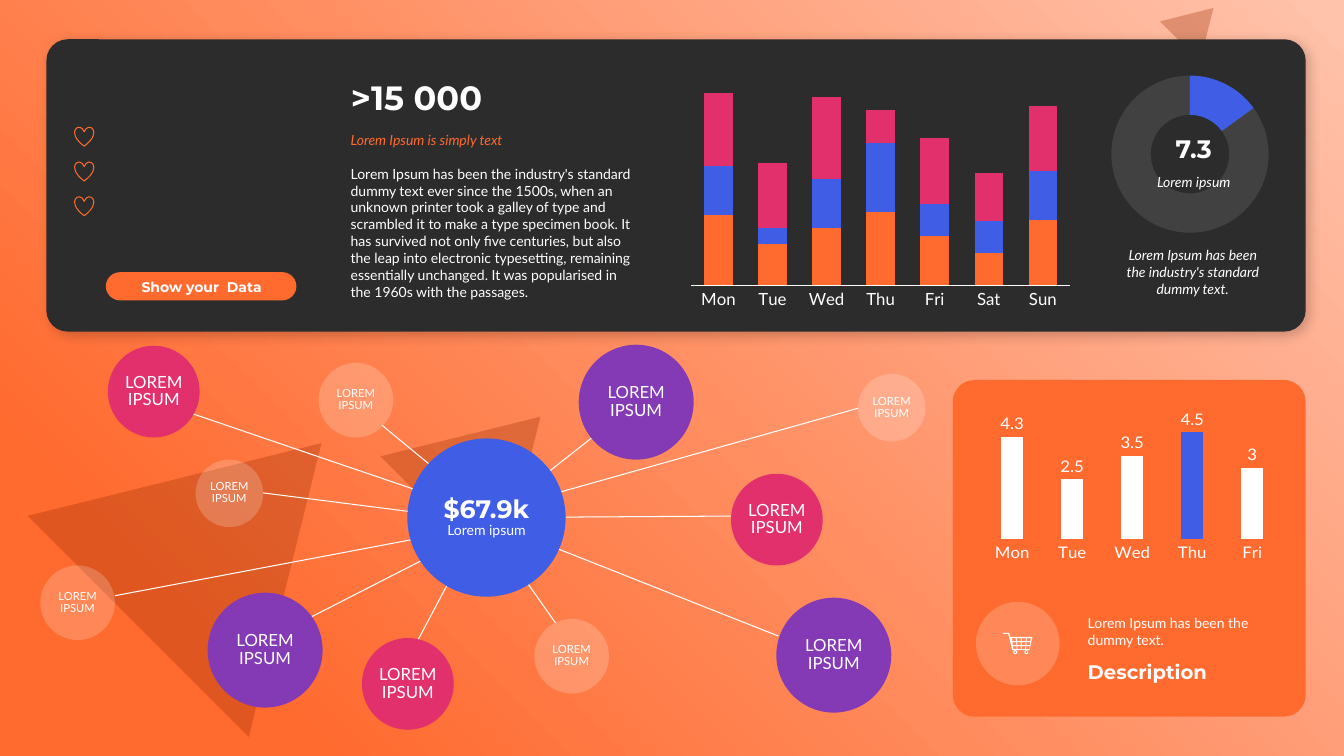
from dataclasses import dataclass

from lxml.etree import SubElement
from pptx import Presentation
from pptx.chart.data import CategoryChartData
from pptx.dml.color import RGBColor
from pptx.enum.chart import XL_CHART_TYPE as Chart, XL_LABEL_POSITION as LabelPos, XL_TICK_MARK as Tick
from pptx.enum.shapes import MSO_CONNECTOR as Conn, MSO_SHAPE as Shape
from pptx.enum.text import MSO_ANCHOR as Anchor, MSO_AUTO_SIZE as AutoSize, PP_ALIGN as Align
from pptx.oxml.ns import qn
from pptx.util import Inches, Pt


@dataclass(frozen=True)
class Theme:
    dark: str = "2C2C2C"
    orange: str = "FF6A2F"
    peach: str = "FFC3AC"
    rust: str = "972B00"
    blue: str = "405DE6"
    pink: str = "E1306C"
    purple: str = "833AB4"
    white: str = "FFFFFF"
    body_font: str = "Lato"
    head_font: str = "Montserrat"
    tiny: int = 8
    body: int = 10
    label: int = 12
    subhead: int = 14
    figure: int = 18
    title: int = 24


T = Theme()
ROWS = 75  # square grid cells, 75 rows over the slide height
CELL = Inches(7.5) / ROWS

# Bubble kinds: diameter, colour, alpha, text size
KINDS = {
    "large": (11.4, T.purple, None, T.label),
    "medium": (9.1, T.pink, None, T.label),
    "small": (7.4, T.white, 20, T.tiny),
    "mini": (6.7, T.white, 20, T.tiny),
}
# Bubbles: kind, left, top, line start and line end at the hub
BUBBLES = [
    ("large", 57.4, 34.2, (53.4, 47.6), (59, 43.2)),
    ("small", 31.6, 36, (37.9, 42.2), (43.6, 46.9)),
    ("medium", 10.7, 34.3, (17.5, 40.5), (42.7, 49.1)),
    ("mini", 19.4, 45.6, (26.1, 48.9), (41.8, 50.9)),
    ("small", 4, 56.1, (11.4, 59.1), (42.1, 53.3)),
    ("medium", 35.9, 63.3, (45, 56.8), (41.4, 63.6)),
    ("large", 20.6, 58.8, (30.1, 61.6), (43, 55)),
    ("large", 77, 59.3, (54.2, 54), (77.2, 63.1)),
    ("mini", 85.1, 37.1, (54.2, 49.2), (85.1, 40.5)),
    ("medium", 72.5, 47, (56.1, 51.3), (72.6, 51.2)),
    ("small", 53, 61.4, (51.5, 56.7), (55.1, 61.8)),
]


def grid(*cells):
    return [round(c * CELL) for c in cells]


def paint(fill, color, alpha=None):
    fill.solid()
    fill.fore_color.rgb = RGBColor.from_string(color)
    if alpha is not None:
        clr = next(fill.fore_color._xFill.iter(qn("a:srgbClr")))
        SubElement(clr, qn("a:alpha"), val=str(alpha * 1000))


def add_run(p, text, size, color=T.white, head=False, italic=False):
    r = p.add_run()
    r.text = text
    f = r.font
    f.size, f.bold, f.italic = Pt(size), head, italic
    f.name = T.head_font if head else T.body_font
    f.color.rgb = RGBColor.from_string(color)


def add_form(s, kind, box, color, alpha=None, adj=None, rotation=0):
    sp = s.shapes.add_shape(kind, *grid(*box))
    sp.shadow.inherit = False
    sp.line.fill.background()
    sp.rotation = rotation
    paint(sp.fill, color, alpha)
    if adj is not None:
        sp.adjustments[0] = adj
    return sp


def set_text(sp, text, size, align=Align.LEFT, anchor=Anchor.TOP, after=0, **style):
    tf = sp.text_frame
    tf.word_wrap, tf.auto_size, tf.vertical_anchor = True, AutoSize.SHAPE_TO_FIT_TEXT, anchor
    p = tf.paragraphs[0]
    p.alignment, p.space_after = align, Pt(after)
    add_run(p, text, size, **style)


def add_text(s, box, *args, **kwargs):
    set_text(s.shapes.add_textbox(*grid(*box)), *args, **kwargs)


def add_bubble(s, box, color, alpha, runs):
    sp = add_form(s, Shape.OVAL, box, color, alpha)
    tf = sp.text_frame
    tf.word_wrap, tf.vertical_anchor = True, Anchor.MIDDLE
    tf.margin_left = tf.margin_right = 0
    for i, (text, size, head) in enumerate(runs):
        p = tf.add_paragraph() if i else tf.paragraphs[0]
        p.alignment, p.line_spacing = Align.CENTER, 0.89
        add_run(p, text, size, head=head)


def add_link(s, start, end):
    line = s.shapes.add_connector(Conn.STRAIGHT, *grid(*start, *end))
    line.line.width = Pt(0.75)
    line.line.color.rgb = RGBColor.from_string(T.white)
    SubElement(line.element.spPr, qn("a:effectLst"))


def add_chart(s, kind, box, cats, rows, size):
    data = CategoryChartData()
    data.categories = cats
    for i, vals in enumerate(rows, 1):
        data.add_series(f"Series {i}", vals)
    chart = s.shapes.add_chart(kind, *grid(*box), data).chart
    chart.has_title = chart.has_legend = False
    chart.font.size, chart.font.name = Pt(size), T.body_font
    chart.font.color.rgb = RGBColor.from_string(T.white)
    return chart


def add_columns(s, kind, box, cats, rows, colors, gap, top):
    chart = add_chart(s, kind, box, cats, rows, T.label)
    plot = chart.plots[0]
    plot.gap_width, plot.vary_by_categories = gap, False
    for series, color in zip(plot.series, colors):
        paint(series.format.fill, color)
    chart.value_axis.visible = chart.value_axis.has_major_gridlines = False
    chart.value_axis.minimum_scale, chart.value_axis.maximum_scale = 0, top
    chart.category_axis.major_tick_mark = Tick.NONE
    return chart


def add_backdrop(s):
    fill = s.background.fill
    fill.gradient()
    for stop, color, pos in zip(fill.gradient_stops, (T.peach, T.orange), (0, 0.85)):
        stop.color.rgb, stop.position = RGBColor.from_string(color), pos
    grad = next(s.element.iter(qn("a:gradFill")))
    grad.remove(grad.find(qn("a:lin")))
    radial = SubElement(grad, qn("a:path"), {"path": "circle"})
    SubElement(radial, qn("a:fillToRect"), l="100000", b="100000")
    for box in ((7.3, 40.2, 31, 25.7), (40.2, 39.3, 16.9, 14), (115.9, 0.1, 5.6, 4.7)):
        add_form(s, Shape.ISOSCELES_TRIANGLE, box, T.rust, 30, rotation=45)


def add_summary(s):
    # Dark panel with a soft shadow
    panel = add_form(s, Shape.ROUNDED_RECTANGLE, (4.6, 3.9, 124.9, 29), T.dark, adj=0.073)
    effects = panel.element.spPr.find(qn("a:effectLst"))
    shadow = SubElement(effects, qn("a:outerShdw"), blurRad=str(Pt(8)), dist=str(Pt(3)),
                        dir="2700000", algn="tl", rotWithShape="0")
    SubElement(SubElement(shadow, qn("a:srgbClr"), val="000000"), qn("a:alpha"), val="20000")
    # Headline and copy
    title = s.shapes.title
    title.left, title.top, title.width, title.height = grid(33.8, 7.1, 30.2, 5)
    set_text(title, ">15 000", T.title, anchor=Anchor.BOTTOM, head=True)
    title.element.getparent().append(title.element)
    add_text(s, (33.8, 12.6, 30.2, 2.7), "Lorem Ipsum is simply text", T.body, after=12,
             color=T.orange, italic=True)
    add_text(s, (33.8, 15.9, 30.2, 14.5),
             "Lorem Ipsum has been the industry's standard dummy text ever since the 1500s, "
             "when an unknown printer took a galley of type and scrambled it to make a type "
             "specimen book. It has survived not only five centuries, but also the leap into "
             "electronic typesetting, remaining essentially unchanged. It was popularised in "
             "the 1960s with the passages.", T.body, after=12)
    # Hearts and button
    for i in range(3):
        heart = add_form(s, Shape.HEART, (7.4, 12.6 + 3.45 * i, 1.9, 1.9), T.orange)
        heart.fill.background()
        heart.line.color.rgb = RGBColor.from_string(T.orange)
        heart.line.width = Pt(0.75)
    add_form(s, Shape.ROUNDED_RECTANGLE, (10.5, 27, 18.9, 2.8), T.orange, adj=0.5)
    add_text(s, (11.3, 27.1, 17.4, 2.7), "Show your  Data", T.body, Align.CENTER,
             Anchor.MIDDLE, head=True)
    # Weekly stacked columns
    week = add_columns(s, Chart.COLUMN_STACKED, (67.8, 5.1, 39.1, 26.1),
                       ["Mon", "Tue", "Wed", "Thu", "Fri", "Sat", "Sun"],
                       [(86, 50, 70, 90, 60, 40, 80), (60, 20, 60, 84, 40, 38, 60),
                        (90, 80, 100, 40, 80, 60, 80)], (T.orange, T.blue, T.pink), 90, 280)
    week.plots[0].overlap = 100
    week.category_axis.format.line.color.rgb = RGBColor.from_string(T.white)
    # Doughnut with its figure
    ring = add_chart(s, Chart.DOUGHNUT, (109.6, 7.5, 17.2, 15.6), ["1", "2"], [(15, 85)], T.body)
    plot = ring.plots[0]
    for i, (color, alpha) in enumerate(((T.blue, None), (T.white, 10))):
        point = plot.series[0].points[i].format
        paint(point.fill, color, alpha)
        point.line.fill.background()
    next(ring.element.iter(qn("c:holeSize"))).set("val", "80")
    area = next(ring.element.iter(qn("c:plotArea")))
    layout = area.find(qn("c:layout"))
    if layout is None:
        layout = SubElement(area, qn("c:layout"))
        area.insert(0, layout)
    manual = SubElement(layout, qn("c:manualLayout"))
    for tag, val in (("layoutTarget", "inner"), ("xMode", "edge"), ("yMode", "edge"),
                     ("x", "0.03"), ("y", "0"), ("w", "0.92"), ("h", "1")):
        SubElement(manual, qn("c:" + tag), val=val)
    add_text(s, (112.9, 16.7, 11, 2.7), "Lorem ipsum", T.body, Align.CENTER, after=6, italic=True)
    add_text(s, (112.9, 12.7, 11, 4), "7.3", T.figure, Align.CENTER, Anchor.BOTTOM, 6, head=True)
    add_text(s, (110.3, 24, 16, 6.1), "Lorem Ipsum has been the industry's standard dummy text.",
             T.body, Align.CENTER, after=12, italic=True)


def add_network(s):
    for *_, start, end in BUBBLES:
        add_link(s, start, end)
    for kind, x, y, *_ in BUBBLES:
        d, color, alpha, size = KINDS[kind]
        add_bubble(s, (x, y, d, d), color, alpha, [("LOREM IPSUM", size, False)])
    add_bubble(s, (40.4, 43.5, 15.7, 15.7), T.blue, None,
               [("$67.9k", T.figure, True), ("Lorem ipsum", T.body, False)])


def add_cart(s, x, y):
    outline = [(0, 0), (0.6, 0), (0.7, 0.4), (2.9, 0.4), (2.6, 1.7), (0.9, 1.7), (0.5, 0.1), (0, 0.1)]
    fb = s.shapes.build_freeform(*grid(x, y))
    fb.add_line_segments([grid(x + dx, y + dy) for dx, dy in outline[1:]])
    # Basket openings: four columns by three rows, narrowing downwards
    for col in range(4):
        for row in range(3):
            top = 0.5 + 0.4 * row
            corners = [grid(x + 1.8 + (u - 2) * (0.53 - 0.07 * v), y + v) for u, v in (
                (col + 0.1, top), (col + 0.9, top), (col + 0.9, top + 0.3), (col + 0.1, top + 0.3))]
            fb.move_to(*corners[0])
            fb.add_line_segments(corners[1:])
    cart = fb.convert_to_shape()
    cart.shadow.inherit = False
    cart.line.fill.background()
    paint(cart.fill, T.white)
    for dx in (1, 2.1):
        add_form(s, Shape.DONUT, (x + dx, y + 1.7, 0.4, 0.4), T.white, adj=0.25)


def add_card(s):
    add_form(s, Shape.ROUNDED_RECTANGLE, (94.5, 37.7, 35, 33.4), T.orange, adj=0.065)
    add_form(s, Shape.OVAL, (96.8, 59.7, 8.3, 8.3), T.white, 20)
    add_cart(s, 99.5, 62.8)
    add_text(s, (106.9, 60.5, 22.3, 4.4), "Lorem Ipsum has been the dummy text.", T.body)
    add_text(s, (106.9, 64.9, 22.3, 3.4), "Description", T.subhead, anchor=Anchor.BOTTOM, head=True)
    days = add_columns(s, Chart.COLUMN_CLUSTERED, (96.8, 40.6, 31, 15.4),
                       ["Mon", "Tue", "Wed", "Thu", "Fri"], [(4.3, 2.5, 3.5, 4.5, 3)],
                       [T.white], 171, 5)
    days.category_axis.format.line.fill.background()
    plot = days.plots[0]
    paint(plot.series[0].points[3].format.fill, T.blue)
    plot.has_data_labels = True
    plot.data_labels.show_value = True
    plot.data_labels.position = LabelPos.OUTSIDE_END


def main():
    prs = Presentation()
    prs.slide_width, prs.slide_height = Inches(13.33), Inches(7.5)
    s = prs.slides.add_slide(prs.slide_layouts[5])
    for part in (add_backdrop, add_summary, add_network, add_card):
        part(s)
    prs.save("out.pptx")


if __name__ == "__main__":
    main()
